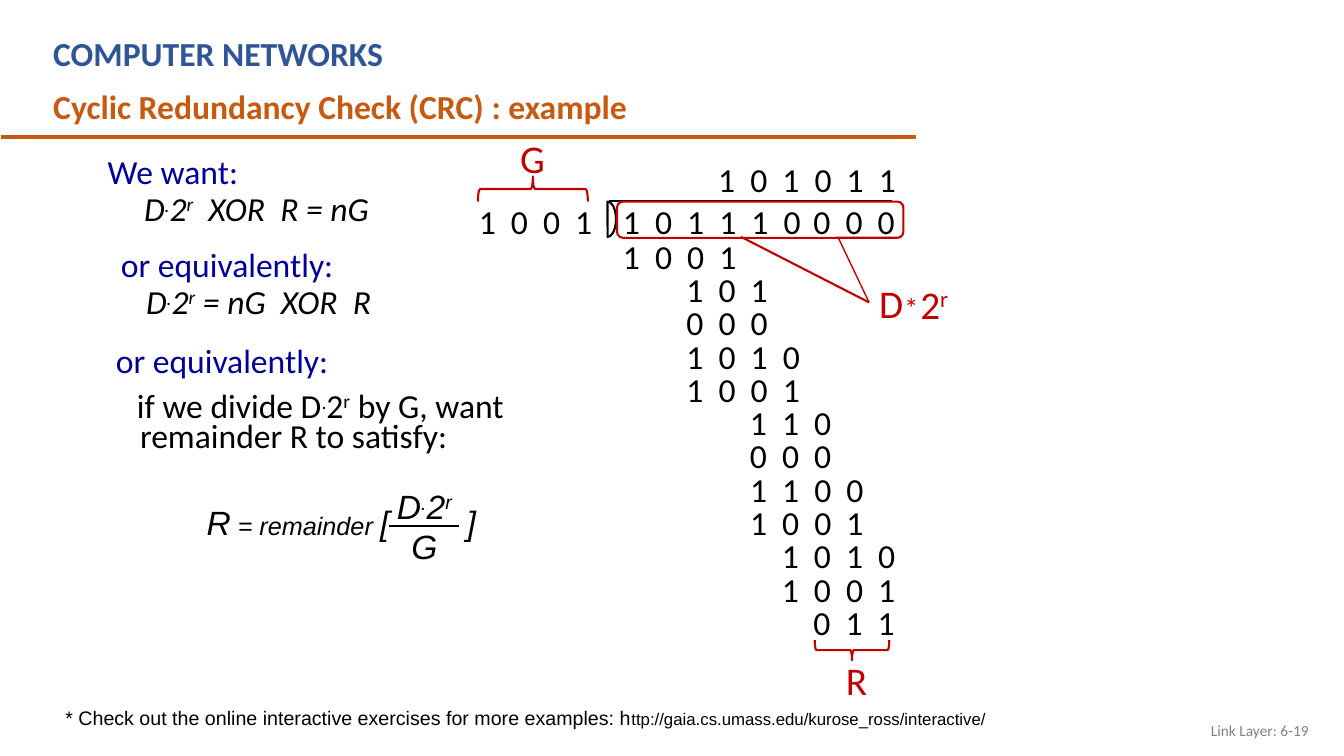
from dataclasses import dataclass

from lxml.etree import SubElement
from pptx import Presentation
from pptx.dml.color import RGBColor
from pptx.enum.shapes import MSO_CONNECTOR, MSO_SHAPE
from pptx.enum.text import MSO_ANCHOR, PP_ALIGN
from pptx.oxml.ns import qn
from pptx.util import Inches, Pt


@dataclass(frozen=True)
class Theme:
    body_font: str = "Calibri"
    formula_font: str = "Arial"
    ink: str = "000000"
    heading: str = "2F5597"
    accent: str = "C55A11"
    lead: str = "000099"
    mark: str = "C00000"
    muted: str = "808080"
    body: int = 24
    label: int = 28
    star: int = 20
    word: int = 18
    note: int = 14
    url: int = 12
    footer: int = 11


THEME = Theme()
DIGIT_GAP = {"spc": 270}  # widens single spaces between digits
WIDE = (" ", {"spc": 540})  # one space, twice as wide
POWER = [("D", {}), (".", {"baseline": 26000}), ("2", {}), ("r", {"baseline": 30000})]


class CrcSlide:
    def __init__(self, slide, theme):
        self.slide = slide
        self.theme = theme

    def text(self, left, top, width, height, *paragraphs, wrap=True, anchor=MSO_ANCHOR.TOP):
        """Add a text box; each paragraph is (runs, paragraph formats, font formats)."""
        box = self.slide.shapes.add_textbox(*map(Inches, (left, top, width, height)))
        frame = box.text_frame
        frame.word_wrap = wrap
        frame.vertical_anchor = anchor
        for index, (runs, layout, font) in enumerate(paragraphs):
            paragraph = frame.add_paragraph() if index else frame.paragraphs[0]
            self.lay_out(paragraph, layout)
            for words, extra in [(runs, {})] if isinstance(runs, str) else runs:
                run = paragraph.add_run()
                run.text = words
                self.set_font(run, {**font, **extra})

    def lay_out(self, paragraph, layout):
        """Apply paragraph formats; margin, indent and tab are in inches."""
        properties = paragraph._p.get_or_add_pPr()
        for name, value in layout.items():
            if name == "margin":
                properties.set("marL", str(Inches(value)))
            elif name == "indent":
                properties.set("indent", str(Inches(value)))
            elif name == "tab":
                stops = SubElement(properties, qn("a:tabLst"))
                SubElement(stops, qn("a:tab"), pos=str(Inches(value)), algn="l")
            else:
                setattr(paragraph, name, value)

    def set_font(self, run, formats):
        """Apply font formats; baseline and spc are raw run attributes."""
        formats = {"name": self.theme.body_font, "size": self.theme.body,
                   "color": self.theme.ink, **formats}
        for name, value in formats.items():
            if name in ("baseline", "spc"):
                run._r.get_or_add_rPr().set(name, str(value))
            elif name == "color":
                run.font.color.rgb = RGBColor.from_string(value)
            else:
                setattr(run.font, name, Pt(value) if name == "size" else value)

    def digits(self, left, top, bits):
        self.text(left, top, 0.32 * len(bits) + 0.1, 0.5,
                  (" ".join(bits), {}, DIGIT_GAP), wrap=False)

    def label(self, left, top, runs, size=THEME.label):
        self.text(left, top, 0.49, 0.57,
                  (runs, {}, {"size": size, "color": self.theme.mark}), wrap=False)

    def line(self, start, end, color, weight=1.5):
        connector = self.slide.shapes.add_connector(
            MSO_CONNECTOR.STRAIGHT, *map(Inches, (*start, *end)))
        connector.line.color.rgb = RGBColor.from_string(color)
        connector.line.width = Pt(weight)
        SubElement(connector._element.spPr, qn("a:effectLst"))

    def outline(self, kind, left, top, width, height, color, rotation=0, adjustments=()):
        shape = self.slide.shapes.add_shape(kind, *map(Inches, (left, top, width, height)))
        shape.shadow.inherit = False
        shape.fill.background()
        shape.line.color.rgb = RGBColor.from_string(color)
        shape.line.width = Pt(1.5)
        shape.rotation = rotation
        for index, value in enumerate(adjustments):
            shape.adjustments[index] = value


def add_heading(page):
    page.text(0.43, 0.28, 8.2, 0.5,
              ("COMPUTER NETWORKS", {}, {"color": THEME.heading, "bold": True}))
    page.text(0.43, 0.8, 8.2, 0.5,
              ("Cyclic Redundancy Check (CRC) : example", {},
               {"color": THEME.accent, "bold": True}))
    page.line((0.01, 1.36), (9.09, 1.36), THEME.accent, 3)


def add_conditions(page):
    tight = {"line_spacing": 0.75}
    equation = {**tight, "level": 1, "margin": 0.76, "indent": -0.25, "space_before": Pt(5)}
    remainder = {**tight, "margin": 0.5, "indent": -0.03, "space_before": Pt(10)}
    xor_first = POWER + [WIDE, ("XOR", {}), WIDE, ("R = nG", {})]
    xor_last = POWER + [(" = nG", {}), WIDE, ("XOR", {}), WIDE, ("R", {})]
    division = [("if we divide ", {}), *POWER, (" by G, want remainder R to satisfy:", {})]
    italic = {"italic": True}
    conditions = [
        (0.82, 1.54, 1.14, "We want:", -0.24, xor_first, equation, italic),
        (0.84, 2.46, 0.96, "or equivalently:", -0.13, xor_last, equation, italic),
        (0.79, 3.42, 1.37, "or equivalently:", -0.13, division, remainder, {}),
    ]
    for left, top, height, lead, indent, runs, layout, font in conditions:
        page.text(left, top, 5.45, height,
                  (lead, {**tight, "margin": 0.39, "indent": indent}, {"color": THEME.lead}),
                  (runs, layout, font))


def add_remainder_formula(page):
    formula = {"name": THEME.formula_font, "italic": True}
    centred = {"alignment": PP_ALIGN.CENTER}
    page.text(3.48, 4.77, 1.46, 0.9, (POWER, centred, formula), ("G", centred, formula))
    page.line((3.86, 5.22), (4.55, 5.22), THEME.ink)
    page.text(1.95, 4.93, 3.05, 0.52,
              ([("R", {}), (" = remainder ", {"size": THEME.word}), ("[\t]", {})],
               {"tab": 2.58}, formula))


def add_long_division(page):
    first_column, column_pitch = 6.08, 0.315
    first_row, row_pitch = 2.29, 0.33
    steps = [(0, "1001"), (2, "101"), (2, "000"), (2, "1010"), (2, "1001"), (4, "110"),
             (4, "000"), (4, "1100"), (4, "1001"), (5, "1010"), (5, "1001"), (6, "011")]

    def column(index):
        return first_column + index * column_pitch

    page.digits(column(3), 1.53, "101011")
    page.digits(4.65, 1.94, "1001")
    page.digits(column(0), 1.94, "101110")
    page.digits(column(6), 1.94, "000")
    for row, (start, bits) in enumerate(steps):
        page.digits(column(start), first_row + row * row_pitch, bits)
    page.line((6.04, 1.99), (8.85, 1.99), THEME.ink)
    page.outline(MSO_SHAPE.PIE, 5.85, 2.09, 0.35, 0.17, THEME.ink, 270, (0, 107.535))


def add_division_marks(page):
    page.label(5.06, 1.28, "G")
    page.outline(MSO_SHAPE.RIGHT_BRACE, 5.16, 1.33, 0.25, 1.09, THEME.mark, 270)
    page.label(8.29, 6.46, "R")
    page.outline(MSO_SHAPE.RIGHT_BRACE, 8.35, 6.08, 0.2, 0.74, THEME.mark, 90)
    page.outline(MSO_SHAPE.ROUNDED_RECTANGLE, 6.12, 2, 2.84, 0.36, THEME.mark)
    page.line((7.35, 2.35), (8.62, 3), THEME.mark)
    page.line((8.32, 2.37), (8.62, 3), THEME.mark, 1)
    page.label(8.62, 2.72, "D")
    page.label(8.87, 2.83, "*", THEME.star)
    page.label(9.03, 2.73, POWER[2:])


def add_footer(page):
    page.text(0.55, 6.95, 10.43, 0.34,
              ([("* Check out the online interactive exercises for more examples: h", {}),
                ("ttp://gaia.cs.umass.edu/kurose_ross/interactive/", {"size": THEME.url})],
               {}, {"name": THEME.formula_font, "size": THEME.note}))
    page.text(10.08, 7.05, 3, 0.4,
              ("Link Layer: 6-19", {"alignment": PP_ALIGN.RIGHT},
               {"size": THEME.footer, "color": THEME.muted}), anchor=MSO_ANCHOR.MIDDLE)


def main():
    presentation = Presentation()
    presentation.slide_width = Inches(13.33)
    presentation.slide_height = Inches(7.5)
    page = CrcSlide(presentation.slides.add_slide(presentation.slide_layouts[6]), THEME)
    for add_part in (add_heading, add_conditions, add_remainder_formula,
                     add_long_division, add_division_marks, add_footer):
        add_part(page)
    presentation.save("out.pptx")


if __name__ == "__main__":
    main()
